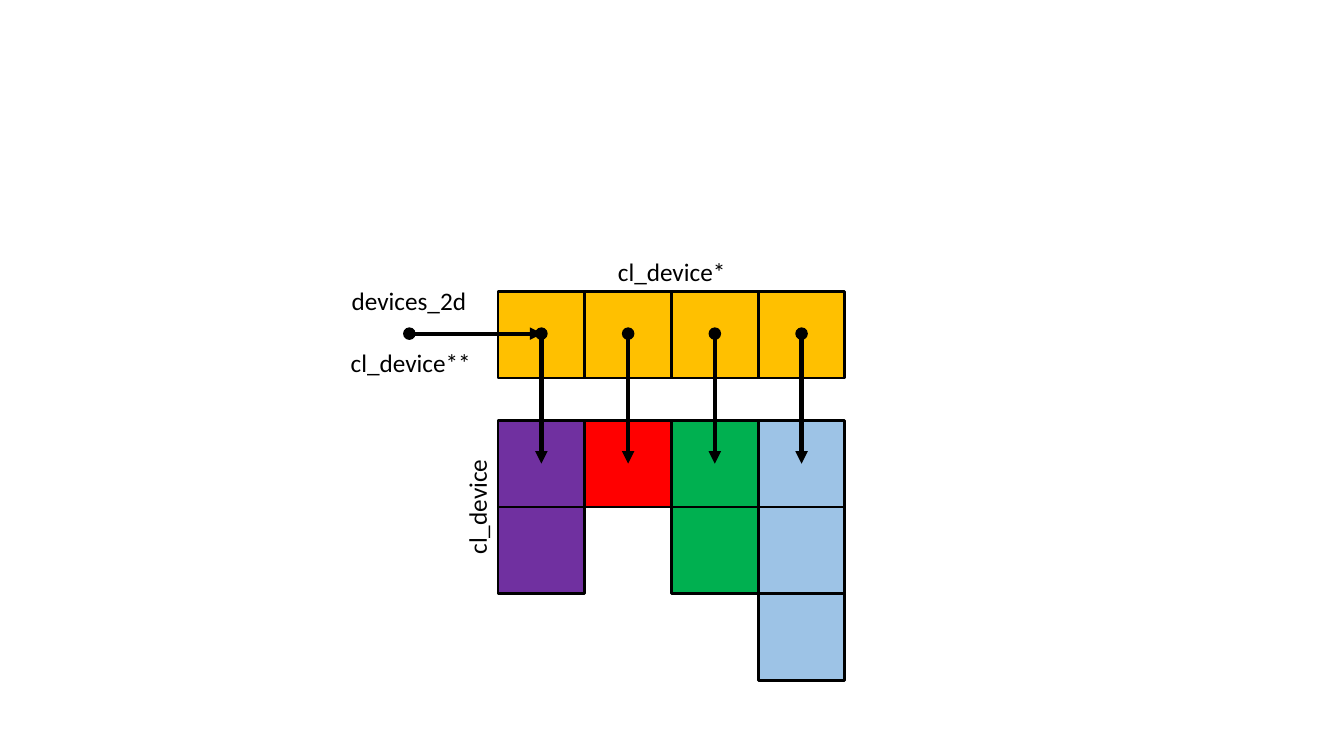
import dataclasses

import lxml.etree
import pptx
import pptx.dml.color
import pptx.enum.shapes
import pptx.enum.text
import pptx.oxml.ns
import pptx.util

Inches = pptx.util.Inches
Pt = pptx.util.Pt


@dataclasses.dataclass(frozen=True)
class Theme:
    ink: str = "000000"
    pointer: str = "FFC000"
    devices: tuple = (("7030A0", 2), ("FF0000", 1), ("00B050", 2), ("9DC3E6", 3))
    font: str = "Calibri"
    label_size: int = 18
    border: int = 2
    arrow: int = 3


THEME = Theme()
CELL = 0.86


def rgb(value):
    return pptx.dml.color.RGBColor.from_string(value)


def add_cell(slide, left, top, color):
    cell = slide.shapes.add_shape(
        pptx.enum.shapes.MSO_SHAPE.RECTANGLE,
        Inches(left), Inches(top), Inches(CELL), Inches(CELL))
    cell.shadow.inherit = False
    cell.fill.solid()
    cell.fill.fore_color.rgb = rgb(color)
    cell.line.color.rgb = rgb(THEME.ink)
    cell.line.width = Pt(THEME.border)


def add_arrow(slide, start, end):
    arrow = slide.shapes.add_connector(
        pptx.enum.shapes.MSO_CONNECTOR.STRAIGHT,
        *(Inches(value) for value in (*start, *end)))
    arrow.line.color.rgb = rgb(THEME.ink)
    arrow.line.width = Pt(THEME.arrow)
    outline = arrow.line._get_or_add_ln()
    for tag, kind in (("a:headEnd", "oval"), ("a:tailEnd", "triangle")):
        lxml.etree.SubElement(outline, pptx.oxml.ns.qn(tag), type=kind)
    properties = arrow._element.spPr
    lxml.etree.SubElement(properties, pptx.oxml.ns.qn("a:effectLst"))


def add_label(slide, text, left, top, width, rotation=0):
    label = slide.shapes.add_textbox(
        Inches(left), Inches(top), Inches(width), Inches(0.4))
    label.rotation = rotation
    label.text_frame.word_wrap = False
    label.text_frame.auto_size = pptx.enum.text.MSO_AUTO_SIZE.SHAPE_TO_FIT_TEXT
    paragraph = label.text_frame.paragraphs[0]
    paragraph.text = text
    paragraph.font.name = THEME.font
    paragraph.font.size = Pt(THEME.label_size)
    paragraph.font.color.rgb = rgb(THEME.ink)


def build_pointer_row(slide, left, top):
    for column in range(len(THEME.devices)):
        add_cell(slide, left + column * CELL, top, THEME.pointer)
    add_label(slide, "cl_device*", left + 1.09, top - 0.4, 1.29)


def build_handle(slide, left, top):
    add_label(slide, "devices_2d", left + 0.01, top, 1.36)
    add_label(slide, "cl_device**", left, top + 0.62, 1.41)
    middle = top + 0.53
    add_arrow(slide, (left + 0.68, middle), (left + 2, middle))


def build_device_columns(slide, left, top):
    for column, (color, count) in enumerate(THEME.devices):
        for row in range(count):
            add_cell(slide, left + column * CELL, top + row * CELL, color)
    add_label(slide, "cl_device", left - 0.78, top + 0.66, 1.14, 270)


def build_links(slide, left, top, height):
    for column in range(len(THEME.devices)):
        center = left + (column + 0.5) * CELL
        add_arrow(slide, (center, top), (center, top + height))


def build_pointer_slide(slide):
    left = 4.94
    build_pointer_row(slide, left, 2.89)
    build_handle(slide, 3.38, 2.78)
    build_device_columns(slide, left, 4.17)
    build_links(slide, left, 3.31, 1.29)


def main():
    deck = pptx.Presentation()
    deck.slide_width = Inches(13.33)
    deck.slide_height = Inches(7.5)
    build_pointer_slide(deck.slides.add_slide(deck.slide_layouts[6]))
    deck.save("out.pptx")


if __name__ == "__main__":
    main()
